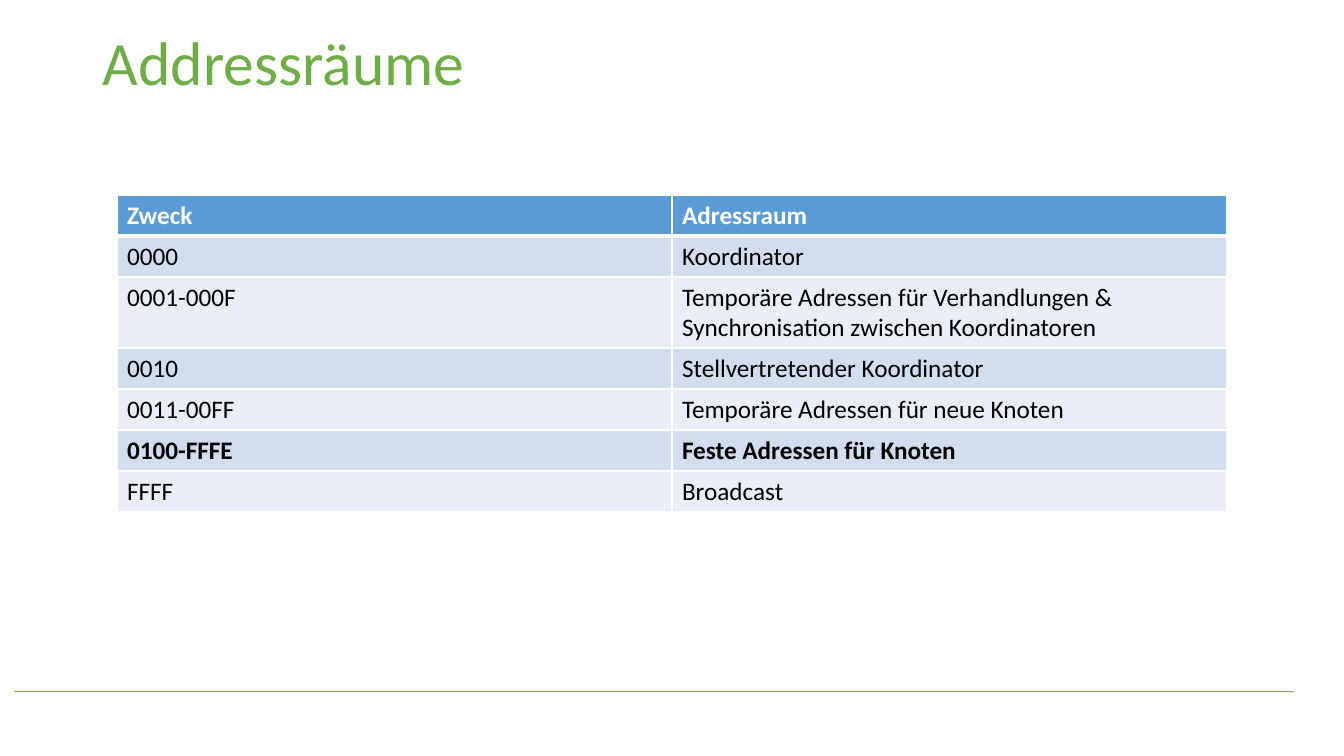
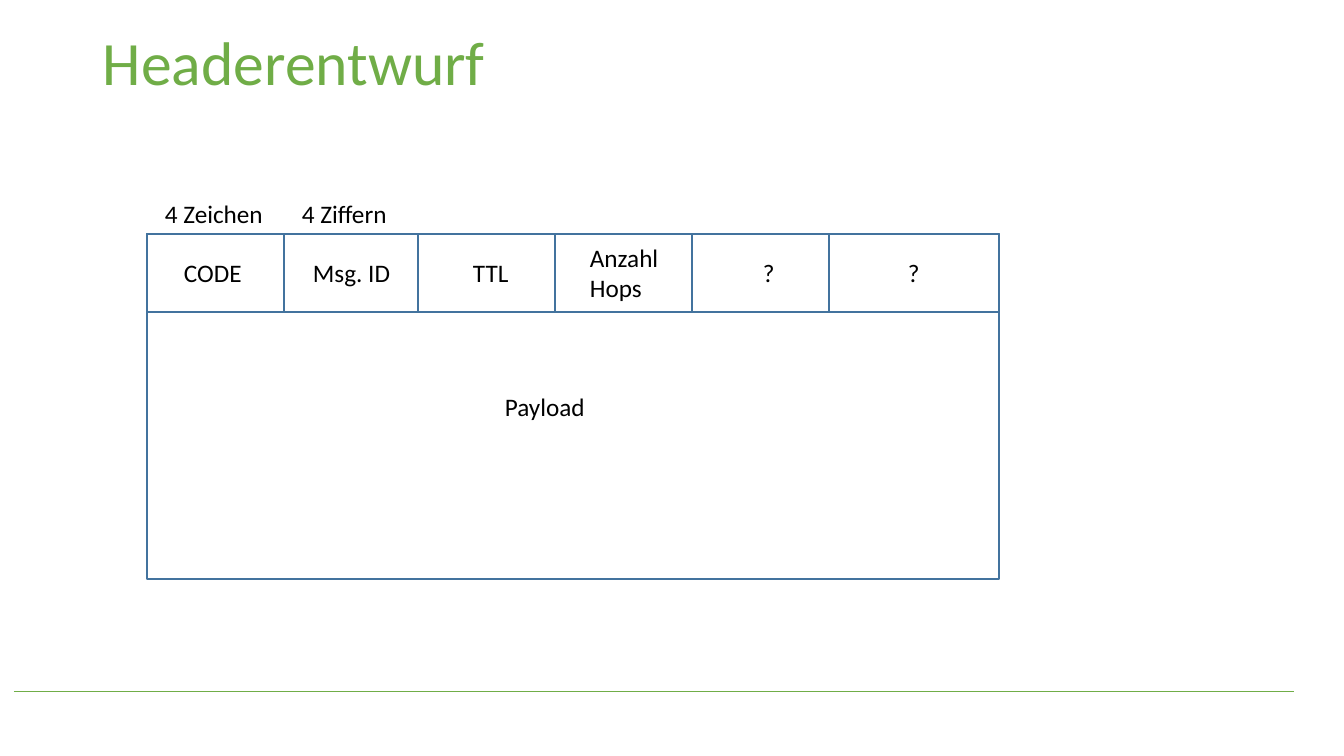
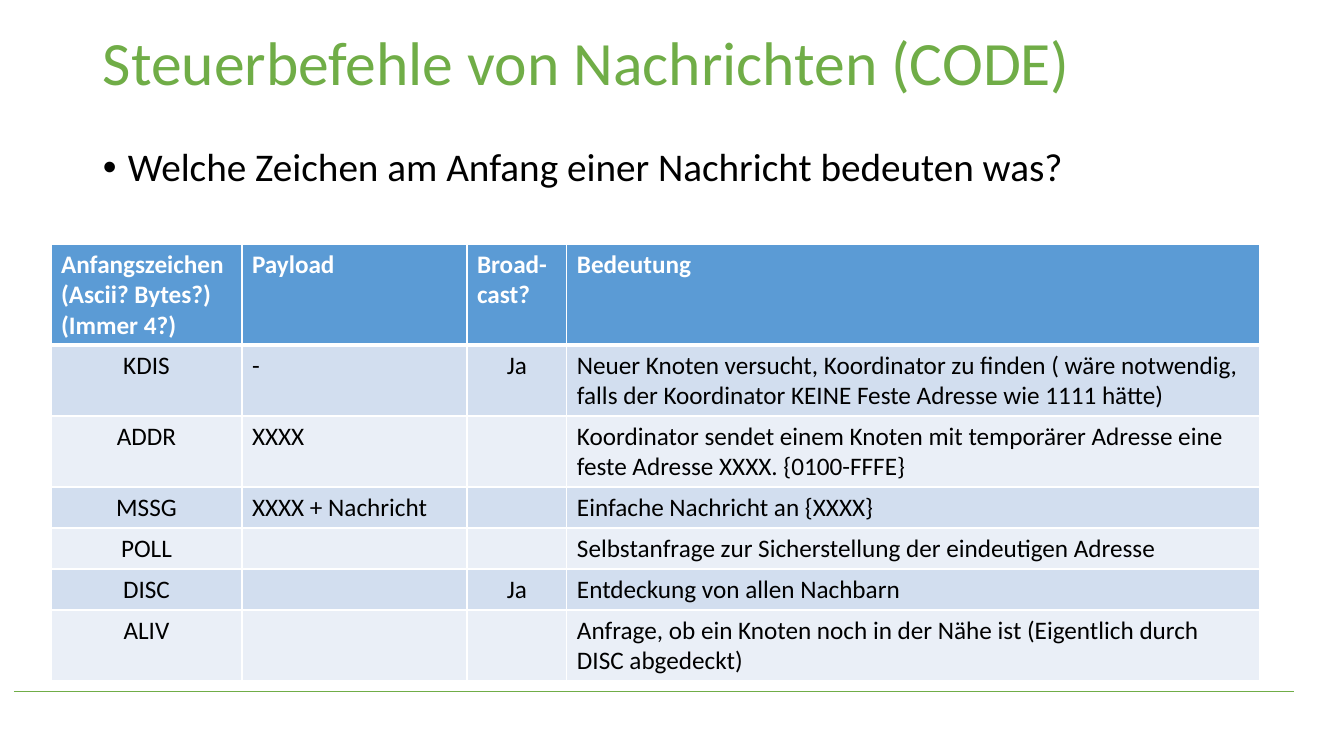
from dataclasses import dataclass
from itertools import pairwise

from lxml import etree
from pptx import Presentation
from pptx import util as u
from pptx.dml.color import RGBColor
from pptx.enum import shapes, text
from pptx.oxml import ns


@dataclass(frozen=True)
class Theme:
    font: str = "Calibri"
    green: str = "70AD47"
    blue: str = "5B9BD5"
    outline: str = "43739E"
    bands: tuple = ("EAEFF7", "D2DEEF")
    white: str = "FFFFFF"
    black: str = "000000"
    title_size: int = 44
    bullet_size: int = 28
    text_size: int = 18
    tight: float = 0.9


THEME = Theme()
PIXELS_PER_INCH = 100.8
SLIDE_SIZE = 1344, 756
TITLE_BOX = 93, 27, 1159, 146
FOOTER_LINE = 14, 691, 1294, 691
LINE_HEIGHT, CELL_PADDING = 30, 11

ADDRESSES = dict(
    place=(117, 195),
    columns=(555, 555),
    lines=(1, 1, 2, 1, 1, 1, 1),
    bold_rows=(0, 5),
    centred_columns=(),
    rows=[
        ("Zweck", "Adressraum"),
        ("0000", "Koordinator"),
        ("0001-000F", "Temporäre Adressen für Verhandlungen & Synchronisation zwischen Koordinatoren"),
        ("0010", "Stellvertretender Koordinator"),
        ("0011-00FF", "Temporäre Adressen für neue Knoten"),
        ("0100-FFFE", "Feste Adressen für Knoten"),
        ("FFFF", "Broadcast"),
    ],
)

COMMANDS = dict(
    place=(51, 244),
    columns=(191, 225, 100, 693),
    lines=(3, 2, 2, 1, 1, 1, 2),
    bold_rows=(0,),
    centred_columns=(0, 2),
    rows=[
        ("Anfangszeichen (Ascii? Bytes?)\v(Immer 4?)", "Payload", "Broad-\vcast?", "Bedeutung"),
        ("KDIS", "-", "Ja", "Neuer Knoten versucht, Koordinator zu finden ( wäre notwendig, "
                            "falls der Koordinator KEINE Feste Adresse wie 1111 hätte)"),
        ("ADDR", "XXXX", "", "Koordinator sendet einem Knoten mit temporärer Adresse eine "
                             "feste Adresse XXXX. {0100-FFFE}"),
        ("MSSG", "XXXX + Nachricht", "", "Einfache Nachricht an {XXXX}"),
        ("POLL", "", "", "Selbstanfrage zur Sicherstellung der eindeutigen Adresse"),
        ("DISC", "", "Ja", "Entdeckung von allen Nachbarn"),
        ("ALIV", "", "", "Anfrage, ob ein Knoten noch in der Nähe ist "
                         "(Eigentlich durch DISC abgedeckt)"),
    ],
)

FIELD_EDGES = 147, 284, 418, 555, 692, 829, 999
HEADER_TOP, HEADER_HEIGHT, PACKET_HEIGHT = 234, 78, 345
PACKET_LABELS = [
    ("4 Zeichen", (155, 193, 120, 40)),
    ("4 Ziffern", (292, 193, 107, 40)),
    ("CODE", (174, 252, 79, 40)),
    ("Msg. ID", (303, 252, 99, 40)),
    ("TTL", (463, 252, 56, 40)),
    ("Anzahl\nHops", (580, 237, 90, 71)),
    ("?", (753, 252, 32, 40)),
    ("?", (898, 252, 32, 40)),
    ("Payload", (495, 386, 101, 40)),
]
QUESTION = "Welche Zeichen am Anfang einer Nachricht bedeuten was?"
QUESTION_BOX = 93, 143, 1159, 480
BULLET_INDENT = 25


def px(*lengths):
    return [u.Inches(length / PIXELS_PER_INCH) for length in lengths]


def rgb(colour):
    return RGBColor.from_string(colour)


def style(frame, size, colour, bold=False):
    for para in frame.paragraphs:
        for span in para.runs:
            span.font.name = THEME.font
            span.font.size = u.Pt(size)
            span.font.bold = bold
            span.font.color.rgb = rgb(colour)


def add_text(page, words, place, size, colour, wrap=True):
    box = page.shapes.add_textbox(*px(*place))
    frame = box.text_frame
    frame.word_wrap = wrap
    frame.text = words
    if not wrap:
        frame.auto_size = text.MSO_AUTO_SIZE.SHAPE_TO_FIT_TEXT
    style(frame, size, colour)
    return frame.paragraphs[0]


def add_page(deck, title):
    page = deck.slides.add_slide(deck.slide_layouts[6])
    footer = page.shapes.add_connector(shapes.MSO_CONNECTOR.STRAIGHT, *px(*FOOTER_LINE))
    footer.line.color.rgb = rgb(THEME.green)
    footer.line.width = u.Pt(0.5)
    etree.SubElement(footer.element.spPr, ns.qn("a:effectLst"))
    add_text(page, title, TITLE_BOX, THEME.title_size, THEME.green).line_spacing = THEME.tight
    return page


def add_borders(cell, weights):
    properties = cell._tc.get_or_add_tcPr()
    for position, (side, weight) in enumerate(weights.items()):
        border = etree.Element(ns.qn(f"a:ln{side}"), w=str(u.Pt(weight)))
        fill = etree.SubElement(border, ns.qn("a:solidFill"))
        etree.SubElement(fill, ns.qn("a:srgbClr"), val=THEME.white)
        properties.insert(position, border)


def add_grid(page, place, columns, lines, bold_rows, centred_columns, rows):
    heights = [CELL_PADDING + LINE_HEIGHT * count for count in lines]
    grid = page.shapes.add_table(
        len(rows), len(columns), *px(*place, sum(columns), sum(heights))).table
    for column, width in zip(grid.columns, px(*columns)):
        column.width = width
    for row, height in zip(grid.rows, px(*heights)):
        row.height = height
    for r, row in enumerate(rows):
        for c, words in enumerate(row):
            cell = grid.cell(r, c)
            cell.text_frame.text = words
            cell.fill.solid()
            cell.fill.fore_color.rgb = rgb(THEME.bands[r % 2] if r else THEME.blue)
            style(cell.text_frame, THEME.text_size,
                  THEME.black if r else THEME.white, r in bold_rows)
            if r and c in centred_columns:
                cell.text_frame.paragraphs[0].alignment = text.PP_ALIGN.CENTER
            add_borders(cell, {"L": 1, "R": 1, "T": 3 if r == 1 else 1, "B": 1 if r else 3})


def add_frame(page, left, right, height):
    box = page.shapes.add_shape(
        shapes.MSO_SHAPE.RECTANGLE, *px(left, HEADER_TOP, right - left, height))
    box.shadow.inherit = False
    box.fill.background()
    box.line.color.rgb = rgb(THEME.outline)
    box.line.width = u.Pt(1)


def add_packet(page):
    for height in (PACKET_HEIGHT, HEADER_HEIGHT):
        add_frame(page, FIELD_EDGES[0], FIELD_EDGES[-1], height)
    for left, right in pairwise(FIELD_EDGES):
        add_frame(page, left, right, HEADER_HEIGHT)
    for words, place in PACKET_LABELS:
        add_text(page, words, place, THEME.text_size, THEME.black, wrap=False)


def add_bullet(page, words, place):
    para = add_text(page, words, place, THEME.bullet_size, THEME.black)
    para.line_spacing = THEME.tight
    para.space_before = u.Pt(10)
    properties = para._p.get_or_add_pPr()
    indent = px(BULLET_INDENT)[0]
    properties.set("marL", str(indent))
    properties.set("indent", str(-indent))
    etree.SubElement(properties, ns.qn("a:buFont"), typeface="Arial")
    etree.SubElement(properties, ns.qn("a:buChar"), char="•")


deck = Presentation()
deck.slide_width, deck.slide_height = px(*SLIDE_SIZE)

add_grid(add_page(deck, "Addressräume"), **ADDRESSES)

add_packet(add_page(deck, "Headerentwurf"))

commands_page = add_page(deck, "Steuerbefehle von Nachrichten (CODE)")
add_bullet(commands_page, QUESTION, QUESTION_BOX)
add_grid(commands_page, **COMMANDS)

deck.save("out.pptx")
